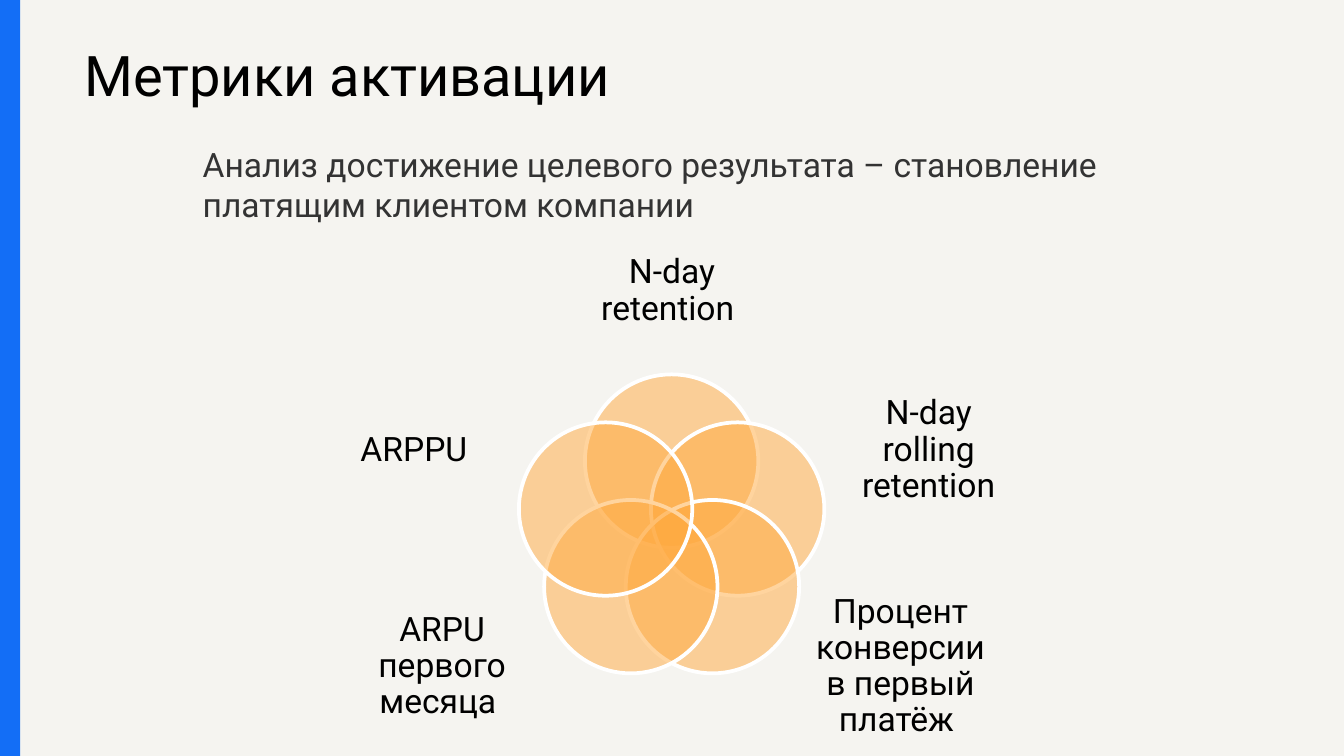
from math import cos, pi, sin

from lxml import etree
from pptx import Presentation
from pptx.dml.color import RGBColor
from pptx.enum.shapes import MSO_SHAPE
from pptx.enum.text import MSO_ANCHOR, PP_ALIGN
from pptx.oxml.ns import qn
from pptx.util import Pt

FONT = "Roboto"
PAPER = RGBColor(0xF5, 0xF4, 0xF0)
BLUE = RGBColor(0x13, 0x6E, 0xF6)
ORANGE = RGBColor(0xFF, 0xAA, 0x3F)
WHITE = RGBColor(0xFF, 0xFF, 0xFF)
BLACK = RGBColor(0x00, 0x00, 0x00)
GRAY = RGBColor(0x33, 0x33, 0x33)

CENTER_X, CENTER_Y = 359.8, 284.2
RING_RADIUS = 37.2
DIAMETER = 92.9

METRICS = [
    ("N-day retention ", 306, 124.6, 108, 62.6),
    ("N-day rolling retention", 449.3, 207.4, 96.5, 67.7),
    ("Процент конверсии в первый платёж ", 434.2, 323.3, 96.5, 67.7),
    ("ARPU первого месяца ", 188.6, 323.3, 96.5, 67.7),
    ("ARPPU", 173.5, 207.4, 96.5, 67.7),
]


def add_text(shapes, text, x, y, w, h, size, color, inset=7.2):
    sp = shapes.add_textbox(Pt(x), Pt(y), Pt(w), Pt(h))
    tf = sp.text_frame
    tf.word_wrap = True
    tf.margin_left = tf.margin_right = Pt(inset)
    tf.margin_top = tf.margin_bottom = Pt(inset)
    tf.text = text
    font = tf.paragraphs[0].runs[0].font
    font.name = FONT
    font.size = Pt(size)
    font.color.rgb = color
    return tf


def add_label(shapes, text, x, y, w, h):
    tf = add_text(shapes, text, x, y, w, h, 18, BLACK, inset=0)
    tf.vertical_anchor = MSO_ANCHOR.MIDDLE
    p = tf.paragraphs[0]
    p.alignment = PP_ALIGN.CENTER
    p.line_spacing = 0.9


def add_filled(shapes, kind, x, y, w, h, color):
    sp = shapes.add_shape(kind, Pt(x), Pt(y), Pt(w), Pt(h))
    sp.shadow.inherit = False
    sp.fill.solid()
    sp.fill.fore_color.rgb = color
    return sp


def add_circle(shapes, angle):
    x = CENTER_X + RING_RADIUS * sin(angle) - DIAMETER / 2
    y = CENTER_Y - RING_RADIUS * cos(angle) - DIAMETER / 2
    sp = add_filled(shapes, MSO_SHAPE.OVAL, x, y, DIAMETER, DIAMETER, ORANGE)
    clr = sp._element.spPr.find(qn("a:solidFill")).find(qn("a:srgbClr"))
    etree.SubElement(clr, qn("a:alpha")).set("val", "50000")
    sp.line.color.rgb = WHITE
    sp.line.width = Pt(2)


def add_venn(s):
    shapes = s.shapes.add_group_shape().shapes
    for i, label in enumerate(METRICS):
        add_circle(shapes, 2 * pi * i / len(METRICS))
        add_label(shapes, *label)


def main():
    prs = Presentation()
    prs.slide_width, prs.slide_height = Pt(720), Pt(405)
    s = prs.slides.add_slide(prs.slide_layouts[6])
    s.background.fill.solid()
    s.background.fill.fore_color.rgb = PAPER

    add_text(s.shapes, "Метрики активации", 38.2, 14.4, 544.3, 73.4, 30, BLACK)
    tf = add_text(
        s.shapes,
        "Анализ достижение целевого результата – становление платящим клиентом компании",
        92.9, 69.8, 533.5, 288.7, 18, GRAY,
    )
    pPr = tf.paragraphs[0]._p.get_or_add_pPr()
    pPr.set("marL", str(Pt(8.6)))
    pPr.set("indent", "0")

    bar = add_filled(s.shapes, MSO_SHAPE.RECTANGLE, 0, -0.7, 10.8, 406.8, BLUE)
    bar.line.fill.background()
    add_venn(s)
    prs.save("out.pptx")


if __name__ == "__main__":
    main()
